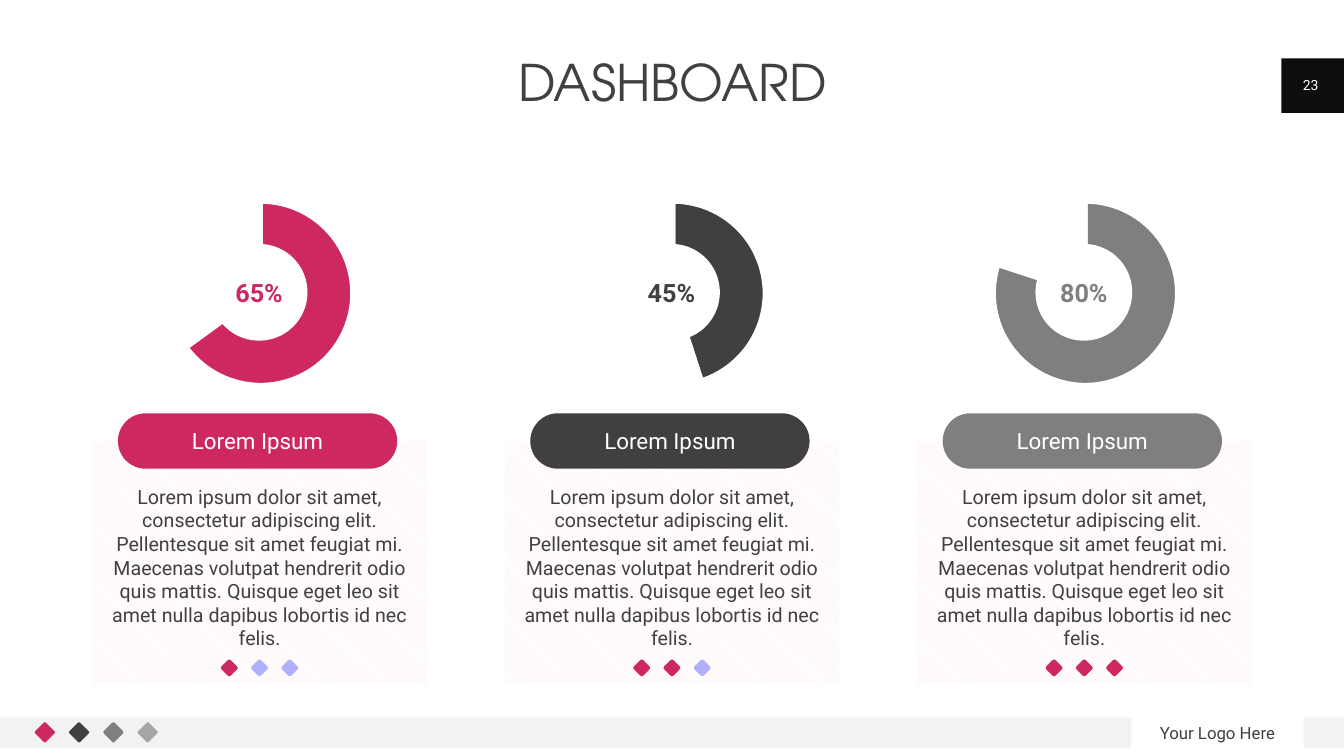
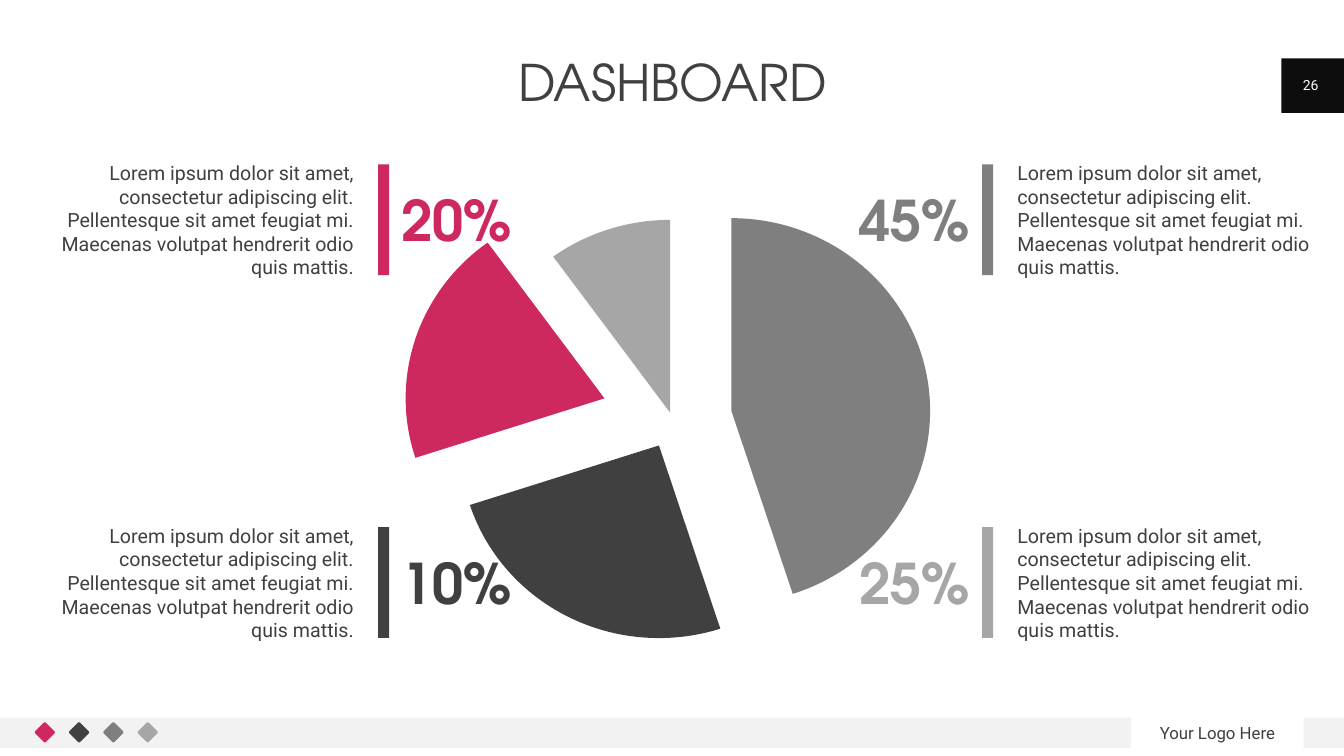
from pptx import Presentation
from pptx.chart.data import CategoryChartData
from pptx.dml.color import RGBColor
from pptx.enum.chart import XL_CHART_TYPE
from pptx.enum.dml import MSO_PATTERN
from pptx.enum.shapes import MSO_SHAPE
from pptx.enum.text import MSO_ANCHOR, PP_ALIGN
from pptx.oxml import parse_xml
from pptx.oxml.ns import nsdecls
from pptx.util import Pt

PIE = XL_CHART_TYPE.PIE
STRIPES = MSO_PATTERN.LIGHT_DOWNWARD_DIAGONAL
RECT, ROUND, OVAL = MSO_SHAPE.RECTANGLE, MSO_SHAPE.ROUNDED_RECTANGLE, MSO_SHAPE.OVAL
TOP, MIDDLE = MSO_ANCHOR.TOP, MSO_ANCHOR.MIDDLE
LEFT, CENTER, RIGHT = PP_ALIGN.LEFT, PP_ALIGN.CENTER, PP_ALIGN.RIGHT

EMU_PER_PX = 9144  # 100 px to the inch
SLIDE_W, SLIDE_H = 1333, 750

PINK, DARK, GREY, SILVER = "CE295E", "404040", "7F7F7F", "A6A6A6"
WHITE, BLACK, BAND, LILAC, BLUSH = "FFFFFF", "0D0D0D", "F2F2F2", "B0B0FF", "FFE6E6"
BODY_FONT, DISPLAY_FONT = "Roboto", "TeX Gyre Adventor"

NOTE = ("Lorem ipsum dolor sit amet, consectetur adipiscing elit. "
        "Pellentesque sit amet feugiat mi. Maecenas volutpat hendrerit odio quis mattis.")
CARD_TEXT = NOTE + " Quisque eget leo sit amet nulla dapibus lobortis id nec felis."


def px(length):
    return round(length * EMU_PER_PX)


def box_emu(box):
    return [px(length) for length in box]


def rgb(color):
    return RGBColor.from_string(color)


# Building blocks
def add_block(page, kind, box, color, corner=None, turn=0):
    block = page.shapes.add_shape(kind, *box_emu(box))
    block.shadow.inherit = False
    block.fill.solid()
    block.fill.fore_color.rgb = rgb(color)
    block.line.fill.background()
    block.rotation = turn
    if corner is not None:
        block.adjustments[0] = corner
    return block


def write(shape, text, size, color, align=CENTER, anchor=MIDDLE,
          font=BODY_FONT, bold=False, inset=True):
    frame = shape.text_frame
    frame.word_wrap = True
    frame.vertical_anchor = anchor
    if not inset:
        frame.margin_left = frame.margin_right = 0
        frame.margin_top = frame.margin_bottom = 0
    frame.text = text
    para = frame.paragraphs[0]
    para.alignment = align
    para.font.name = font
    para.font.size = Pt(size)
    para.font.bold = bold
    para.font.color.rgb = rgb(color)
    return para


def add_text(page, box, *args, **style):
    return write(page.shapes.add_textbox(*box_emu(box)), *args, **style)


def add_diamonds(page, left, top, size, step, colors, corner):
    for index, color in enumerate(colors):
        box = (left + index * step, top, size, size)
        add_block(page, ROUND, box, color, corner, turn=315)


def add_pie(page, box, values, colors, plot_size, outline=None, explosions=()):
    """Pie centred in its box, with a plot area of plot_size px square."""
    data = CategoryChartData()
    data.categories = [str(number) for number in range(1, len(values) + 1)]
    data.add_series("Series 1", values)
    chart = page.shapes.add_chart(PIE, *box_emu(box), data).chart
    chart.has_legend = False
    chart.has_title = False
    chart.font.name = BODY_FONT
    chart.font.size = Pt(10)
    plot = chart.plots[0]
    plot.vary_by_categories = True
    series = plot.series[0]
    for index, color in enumerate(colors):
        slice_format = series.points[index].format
        slice_format.fill.solid()
        slice_format.fill.fore_color.rgb = rgb(color)
        if outline:
            slice_format.line.color.rgb = rgb(outline)
            slice_format.line.width = Pt(3.25)
        else:
            slice_format.line.fill.background()
    # Slice offsets, in percent of the radius
    for index, percent in enumerate(explosions):
        point = series._element.findall("{*}dPt")[index]
        point.find("{*}spPr").addprevious(
            parse_xml(f'<c:explosion {nsdecls("c")} val="{percent}"/>'))
    # Fixed plot area
    width, height = plot_size / box[2], plot_size / box[3]
    area = chart._chartSpace.chart.plotArea
    for old in area.findall("{*}layout"):
        area.remove(old)
    area.insert(0, parse_xml(
        f'<c:layout {nsdecls("c")}><c:manualLayout><c:layoutTarget val="inner"/>'
        '<c:xMode val="edge"/><c:yMode val="edge"/>'
        f'<c:x val="{(1 - width) / 2:.2f}"/><c:y val="{(1 - height) / 2:.2f}"/>'
        f'<c:w val="{width:.2f}"/><c:h val="{height:.2f}"/>'
        '</c:manualLayout></c:layout>'))


# Parts shared by every slide
def add_page(deck, title, number):
    page = deck.slides.add_slide(deck.slide_layouts[5])
    add_block(page, RECT, (0, 712, 1122, 30), BAND)
    add_block(page, RECT, (1293, 712, 40, 30), BAND)
    add_diamonds(page, 37, 719, 15, 34, (PINK, DARK, GREY, SILVER), 0.11)
    add_text(page, (1122, 712, 171, 30), "Your Logo Here", 12, DARK)
    add_block(page, RECT, (1271, 58, 62, 54), BLACK)
    add_text(page, (1277, 64, 46, 40), number, 10, WHITE)

    heading = page.shapes.title
    heading.left, heading.top, heading.width, heading.height = box_emu((92, 58, 1150, 55))
    para = write(heading, title, 36, DARK, anchor=TOP, font=DISPLAY_FONT, inset=False)
    para.line_spacing = 0.9
    return page


# Ring chart above a captioned card
def add_ring_card(page, left, top, percent, color, rating):
    panel = add_block(page, RECT, (left, top + 253, 331, 242), WHITE)
    panel.fill.patterned()
    panel.fill.pattern = STRIPES
    panel.fill.fore_color.rgb = rgb(BLUSH)
    panel.fill.back_color.rgb = rgb(WHITE)

    add_pie(page, (left + 53, top, 225, 210), (percent, 100 - percent),
            (color, WHITE), 182, outline=WHITE)
    hole = add_block(page, OVAL, (left + 117, top + 57, 96, 96), WHITE)
    write(hole, f"{percent}%", 18, color, bold=True)

    pill = add_block(page, ROUND, (left + 25, top + 225, 277, 55), color, 0.5)
    write(pill, "Lorem Ipsum", 16, WHITE)
    add_text(page, (left + 18, top + 296, 295, 165), CARD_TEXT, 14, DARK,
             anchor=TOP, inset=False)
    marks = [PINK] * rating + [LILAC] * (3 - rating)
    add_diamonds(page, left + 129, top + 471, 13, 30, marks, 0.17)


# Note, bar and percentage; the right-hand side is mirrored
def add_callout(page, left, top, percent, color, mirrored):
    def place(offset, drop, width, height):
        x = 550 - offset - width if mirrored else offset
        return left + x, top + drop, width, height

    outer, inner = (LEFT, RIGHT) if mirrored else (RIGHT, LEFT)
    add_text(page, place(0, 0, 295, 118), NOTE, 14, DARK, align=outer, inset=False)
    add_block(page, RECT, place(319, 4, 11, 110), color)
    add_text(page, place(342, 25, 208, 67), f"{percent}%", 40, color,
             align=inner, font=DISPLAY_FONT, bold=True, inset=False)


def build_ring_slide(deck):
    page = add_page(deck, "DASHBOARD", "23")
    cards = ((65, PINK, 1), (45, DARK, 2), (80, GREY, 3))
    for index, card in enumerate(cards):
        add_ring_card(page, 92 + index * 409, 185, *card)


def build_pie_slide(deck):
    page = add_page(deck, "DASHBOARD", "26")
    add_pie(page, (349, 209, 636, 424), (45, 25, 20, 10),
            (GREY, DARK, PINK, SILVER), 394, explosions=(30, 15, 36, 4))
    rows = (((20, PINK), (45, GREY)), ((10, DARK), (25, SILVER)))
    for index, (left_item, right_item) in enumerate(rows):
        top = 159 + index * 360
        add_callout(page, 56, top, *left_item, mirrored=False)
        add_callout(page, 754, top, *right_item, mirrored=True)


def main():
    deck = Presentation()
    deck.slide_width, deck.slide_height = px(SLIDE_W), px(SLIDE_H)
    build_ring_slide(deck)
    build_pie_slide(deck)
    deck.save("out.pptx")


if __name__ == "__main__":
    main()
